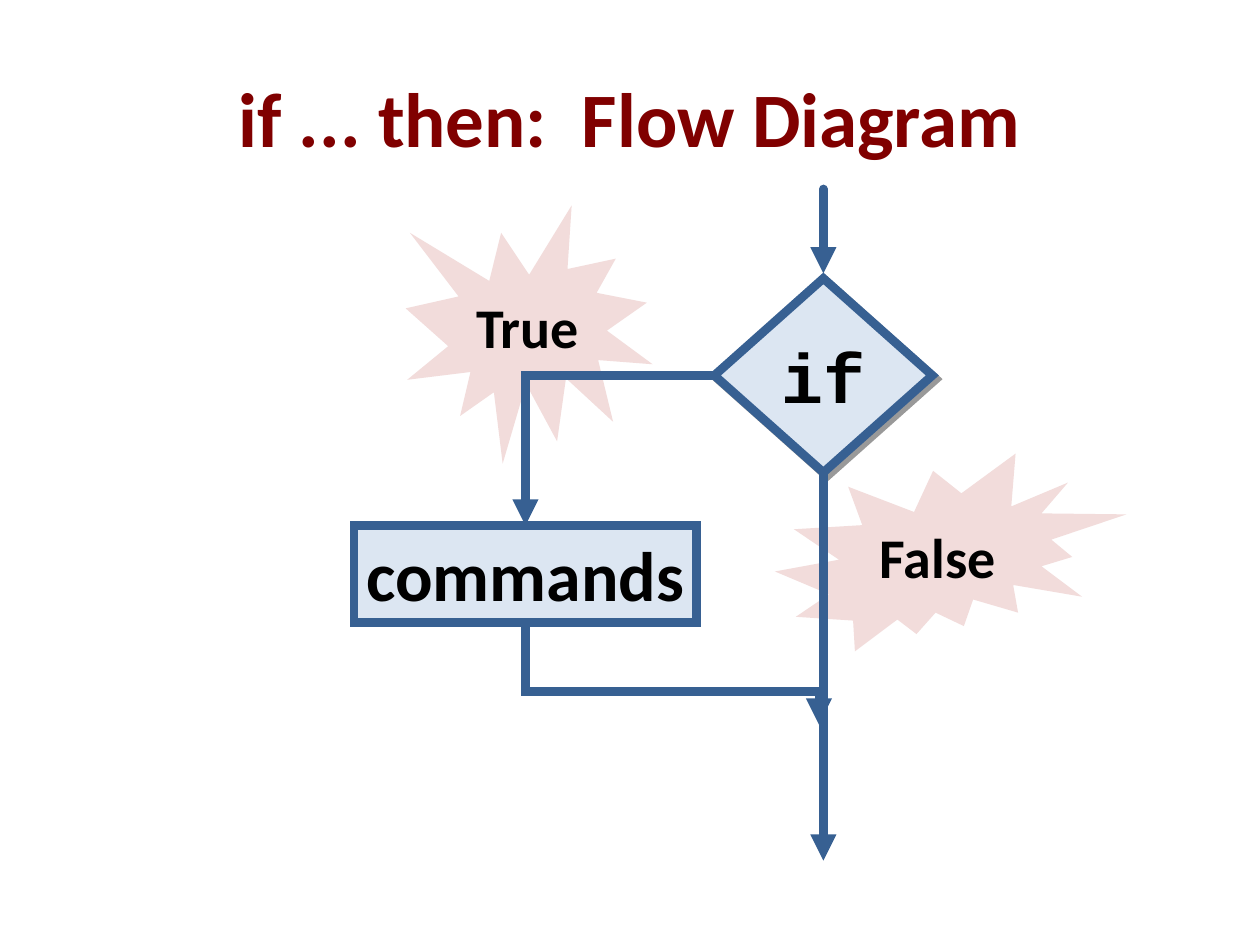
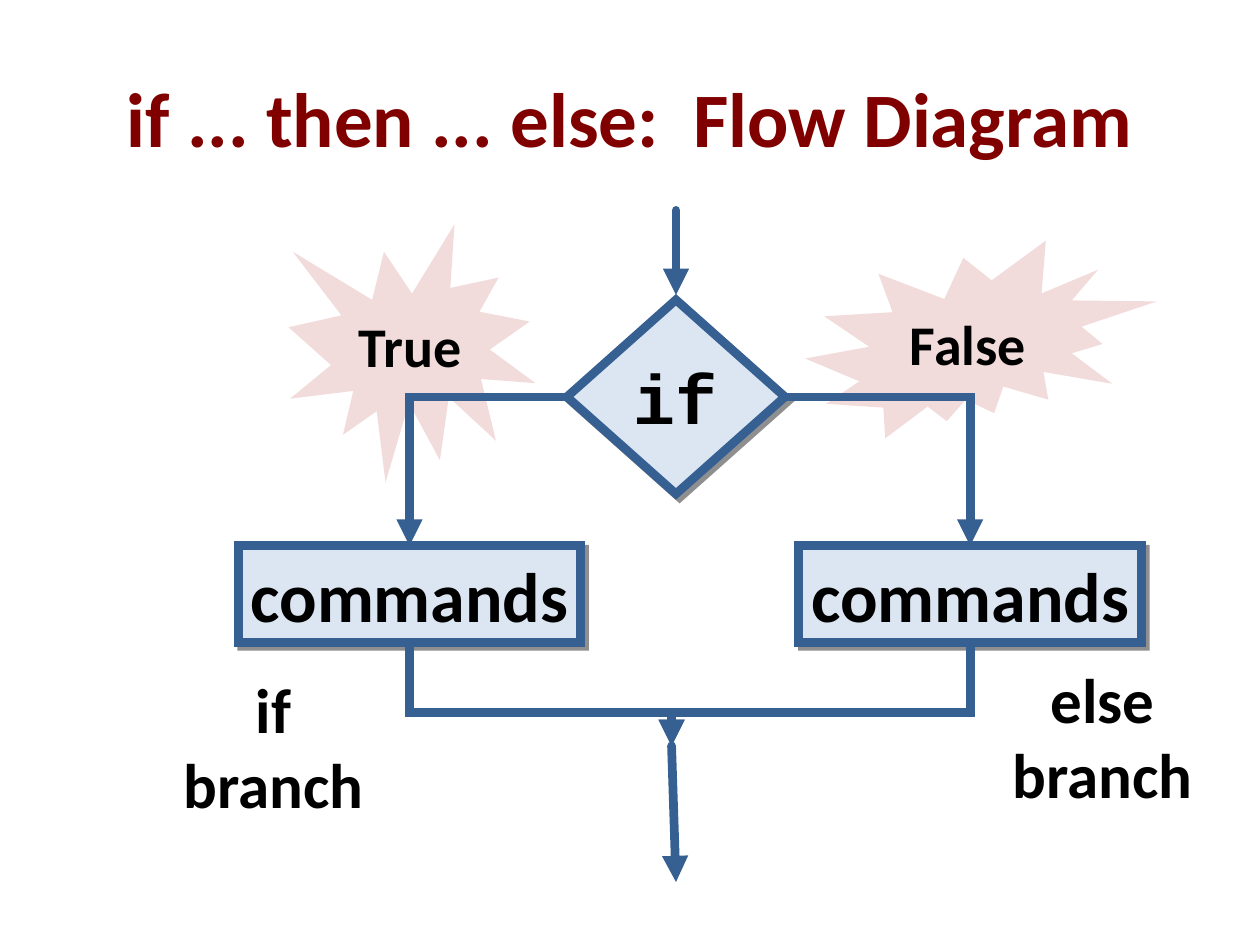
from lxml.etree import SubElement
from pptx import Presentation
from pptx.dml.color import RGBColor
from pptx.enum.shapes import MSO_CONNECTOR, MSO_SHAPE
from pptx.enum.text import MSO_ANCHOR, MSO_AUTO_SIZE, PP_ALIGN
from pptx.oxml.ns import qn
from pptx.util import Inches, Pt

BLACK, MAROON, BLUE, PALE_BLUE, PINK = "000000", "800000", "376092", "DCE6F2", "F2DCDB"
LINE_WIDTH = Pt(5)
DIAMOND_WIDTH, DIAMOND_HEIGHT = 1.73, 1.54
COMMANDS_WIDTH, COMMANDS_HEIGHT = 2.72, 0.77


def color(hex_text):
    """Turn a hex string into a colour."""
    return RGBColor.from_string(hex_text)


def add_xml(parent, tag, **attributes):
    """Append a drawing element with the given attributes."""
    return SubElement(parent, qn(tag), {name: str(value) for name, value in attributes.items()})


def write(frame, text, size, hue=BLACK, font="Calibri"):
    """Fill a text frame with bold centred lines."""
    frame.text = text
    for para in frame.paragraphs:
        para.alignment = PP_ALIGN.CENTER
        para.font.name, para.font.size, para.font.bold = font, Pt(size), True
        para.font.color.rgb = color(hue)


def fit_to_text(frame):
    """Keep lines unbroken and let the shape fit its text."""
    frame.word_wrap = False
    frame.auto_size = MSO_AUTO_SIZE.SHAPE_TO_FIT_TEXT


def add_figure(page, preset, box, fill, text, size, font="Calibri"):
    """Add a filled preset shape with centred text and no outline."""
    figure = page.shapes.add_shape(preset, *map(Inches, box))
    figure.shadow.inherit = False
    figure.fill.solid()
    figure.fill.fore_color.rgb = color(fill)
    figure.line.fill.background()
    write(figure.text_frame, text, size, font=font)
    fit_to_text(figure.text_frame)
    figure.text_frame.vertical_anchor = MSO_ANCHOR.MIDDLE
    return figure


def add_node(page, preset, box, text, shadow, font="Calibri"):
    """Add a blue-outlined flow node, with an optional shadow opacity in percent."""
    node = add_figure(page, preset, box, PALE_BLUE, text, 40, font)
    node.line.color.rgb = color(BLUE)
    node.line.width = LINE_WIDTH
    add_xml(node.line._get_or_add_ln(), "a:miter", lim=800000)
    if shadow:
        effects = node._element.spPr.find(qn("a:effectLst"))
        outer = add_xml(effects, "a:outerShdw", blurRad=0, dist=Pt(3), dir=45 * 60000,
                        algn="ctr", rotWithShape=0)
        add_xml(add_xml(outer, "a:srgbClr", val=BLACK), "a:alpha", val=shadow * 1000)


def style_arrow(arrow, join):
    """Give a connector the blue line, its join and a triangular head."""
    arrow.line.color.rgb = color(BLUE)
    arrow.line.width = LINE_WIDTH
    outline = arrow.line._get_or_add_ln()
    if join == "a:round":
        outline.set("cap", "rnd")
    add_xml(outline, join)
    add_xml(outline, "a:tailEnd", type="triangle", w="med", len="med")
    add_xml(arrow._element.spPr, "a:effectLst")


def add_arrow(page, start, end):
    """Draw a straight arrow."""
    arrow = page.shapes.add_connector(MSO_CONNECTOR.STRAIGHT, *map(Inches, start + end))
    style_arrow(arrow, "a:round")


def add_bend(page, start, end, preset, turn, flip=None, adjust=None):
    """Draw an elbow arrow whose frame is turned about its centre."""
    width, height = abs(end[0] - start[0]), abs(end[1] - start[1])
    center_x, center_y = (start[0] + end[0]) / 2, (start[1] + end[1]) / 2
    if turn in (90, 270):
        width, height = height, width
    corners = (center_x - width / 2, center_y - height / 2,
               center_x + width / 2, center_y + height / 2)
    arrow = page.shapes.add_connector(MSO_CONNECTOR.ELBOW, *map(Inches, corners))
    properties = arrow._element.spPr
    frame, geometry = properties.find(qn("a:xfrm")), properties.find(qn("a:prstGeom"))
    frame.set("rot", str(turn * 60000))
    if flip:
        frame.set(flip, "1")
    geometry.set("prst", preset)
    if adjust:
        add_xml(geometry.find(qn("a:avLst")), "a:gd", name="adj1",
                fmla=f"val {round(adjust * 100000)}")
    style_arrow(arrow, "a:miter")


def add_decision(page, left, top, shadow):
    """Add the if diamond with its entry arrow; return its left, right and bottom corners."""
    add_node(page, MSO_SHAPE.FLOWCHART_DECISION, (left, top, DIAMOND_WIDTH, DIAMOND_HEIGHT),
             "if", shadow, "Courier New")
    middle_x, middle_y = left + DIAMOND_WIDTH / 2, top + DIAMOND_HEIGHT / 2
    add_arrow(page, (middle_x, top - 0.71), (middle_x, top - 0.04))
    return (left, middle_y), (left + DIAMOND_WIDTH, middle_y), (middle_x, top + DIAMOND_HEIGHT)


def add_branch(page, left, top, corner, merge, shadow=None):
    """Lead from a diamond corner through a commands box to the merge point."""
    middle = left + COMMANDS_WIDTH / 2
    on_left = middle < corner[0]
    add_node(page, MSO_SHAPE.RECTANGLE, (left, top, COMMANDS_WIDTH, COMMANDS_HEIGHT),
             "commands", shadow)
    add_bend(page, corner, (middle, top), "bentConnector2",
             *((180, "flipV") if on_left else (0,)))
    add_bend(page, (middle, top + COMMANDS_HEIGHT), merge, "bentConnector3",
             *((270, "flipH") if on_left else (90, None)), adjust=0.68)


def add_outcomes(page, true_at, false_at):
    """Add the False and True bursts at the given corners."""
    add_figure(page, MSO_SHAPE.EXPLOSION2, (*false_at, 2.79, 1.57), PINK, "False", 32)
    add_figure(page, MSO_SHAPE.EXPLOSION1, (*true_at, 1.96, 2.05), PINK, "True", 32)


def add_branch_name(page, left, top, text):
    """Add the two-line name of a branch."""
    label = page.shapes.add_textbox(*map(Inches, (left, top, 1.64, 1.3)))
    write(label.text_frame, text, 36)
    fit_to_text(label.text_frame)


def add_page(deck, text):
    """Add a slide with the maroon title."""
    page = deck.slides.add_slide(deck.slide_layouts[5])
    title = page.shapes.title
    title.left, title.top, title.width, title.height = map(Inches, (0.5, 0.3, 9, 1.25))
    write(title.text_frame, text, 44, MAROON)
    title.text_frame.vertical_anchor = MSO_ANCHOR.MIDDLE
    return page


def build_if_then(deck):
    """Build the diagram with one branch."""
    page = add_page(deck, "if ... then:  Flow Diagram")
    add_outcomes(page, (3.22, 1.63), (6.15, 3.6))
    left_corner, _, bottom = add_decision(page, 5.67, 2.21, 40)
    add_arrow(page, bottom, (bottom[0], 6.83))
    add_branch(page, 2.81, 4.17, left_corner, (6.5, 5.75))


def build_if_then_else(deck):
    """Build the diagram with two branches."""
    page = add_page(deck, "if ... then ... else:  Flow Diagram")
    add_outcomes(page, (2.29, 1.78), (6.39, 1.91))
    left_corner, right_corner, bottom = add_decision(page, 4.5, 2.38, 43)
    merge = (5.33, 5.92)
    add_arrow(page, merge, (bottom[0], 7))
    for left, corner in ((6.34, right_corner), (1.89, left_corner)):
        add_branch(page, left, 4.33, corner, merge, 43)
    add_branch_name(page, 7.93, 5.19, "else\nbranch")
    add_branch_name(page, 1.35, 5.27, "if\nbranch")


def main():
    """Build and save the deck."""
    deck = Presentation()
    deck.slide_width, deck.slide_height = Inches(10), Inches(7.5)
    build_if_then(deck)
    build_if_then_else(deck)
    deck.save("out.pptx")


if __name__ == "__main__":
    main()
